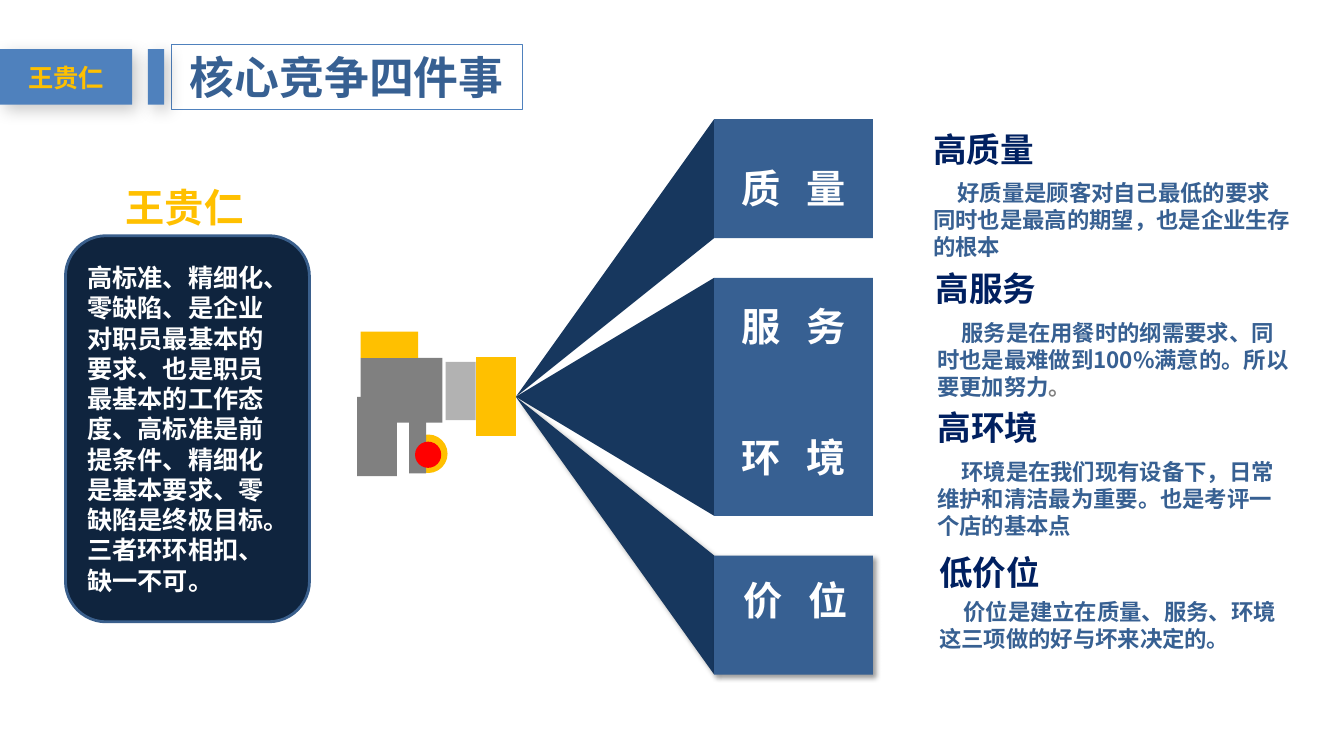
from math import cos, pi, sin

from lxml.etree import SubElement
from pptx import Presentation
from pptx.dml.color import RGBColor as RGB
from pptx.enum.shapes import MSO_SHAPE as SHAPE
from pptx.enum.text import MSO_ANCHOR as ANCHOR, PP_ALIGN as ALIGN
from pptx.oxml.ns import qn
from pptx.util import Cm, Pt

THEME = dict(
    wedge="17375E", block="376092", header="4F81BD", panel="0F243E", edge="3A5F8C",
    gold="FFC000", navy="002060", white="FFFFFF", grey="808080", silver="B2B2B2", red="FF0000",
    title=32, label=28, heading=24, note=18, body=16,
    sc="Noto Sans CJK SC", jp="Noto Sans CJK JP", lato="Lato",
)
SOFT = dict(alpha=40, blur=4, dist=3)
WIDE = dict(alpha=21, blur=12, dist=5)

NAME = "王贵仁"
TITLE = "核心竞争四件事"
PANEL = ("高标准、精细化、零缺陷、是企业对职员最基本的要求、也是职员最基本的工作态度、"
         "高标准是前提条件、精细化是基本要求、零缺陷是终极目标。三者环环相扣、缺一不可。")

FACTORS = [
    dict(label="服 务", label_at=(18.44, 7.49), block=(18.06, 6.65), shadow=None,
         wedge=[(18.11, 6.63), (18.06, 9.78), (12.95, 9.96)],
         heading="高服务", heading_at=(24.85, 6.63), body_at=(23.37, 7.92),
         body="服务是在用餐时的纲需要求、同时也是最难做到100%满意的。所以要更加努力", end="。"),
    dict(label="环 境", label_at=(18.44, 10.8), block=(18.11, 10.19), shadow=None,
         wedge=[(13, 10.03), (18.19, 10.21), (18.11, 13.28)],
         heading="高环境", heading_at=(24.9, 10.13), body_at=(23.37, 11.43),
         body="环境是在我们现有设备下，日常维护和清洁最为重要。也是考评一个店的基本点", end=""),
    dict(label="价 位", label_at=(18.49, 14.4), block=(18.11, 13.69), shadow=SOFT,
         wedge=[(18.08, 16.74), (18.08, 13.64), (12.98, 9.98)],
         heading="低价位", heading_at=(24.94, 13.79), body_at=(23.42, 14.96),
         body="价位是建立在质量、服务、环境这三项做的好与坏来决定的。", end=""),
    dict(label="质 量", label_at=(18.44, 4.01), block=(18.06, 3.18), shadow=None,
         wedge=[(18.08, 3.15), (18.08, 6.25), (12.9, 10.01)],
         heading="高质量", heading_at=(24.79, 3.12), body_at=(23.27, 4.39),
         body="好质量是顾客对自己最低的要求同时也是最高的期望，也是企业生存的根本", end=""),
]
BLOCK_W, BLOCK_H, BLOCK_R = 3.96, 3.12, 0.52
BODY_RIGHT, HEADING_W = 32.81, 4

CAMERA_BODY = [
    (SHAPE.RECTANGLE, (9.09, 9.02, 2.06, 1.63), "grey"),
    (SHAPE.RECTANGLE, (9.09, 8.36, 1.45, 0.66), "gold"),
    (SHAPE.RECTANGLE, (11.23, 9.12, 0.76, 1.47), "silver"),
]
LENS = [(12.62, 8.74), (12.62, 10.9), (12.07, 10.52), (12.07, 9.12)]
GRIP_HOLE = [(9.5, 10.69), (9.5, 11.71), (10.29, 11.71), (10.29, 10.69)]
GRIP_EDGE = [(9.32, 10.49), (10.44, 10.49), (10.44, 11.91), (9.32, 11.91)]
CAMERA_REEL = [
    (SHAPE.OVAL, (10.31, 10.95, 0.97, 0.97), "gold"),
    (SHAPE.RECTANGLE, (10.31, 10.46, 0.43, 1.47), "grey"),
    (SHAPE.OVAL, (10.46, 11.13, 0.66, 0.66), "red"),
]


def color(name):
    return RGB.from_string(THEME[name])


def paint(sp, fill=None, line=None, weight=1, shadow=None):
    sp.shadow.inherit = False
    if fill:
        sp.fill.solid()
        sp.fill.fore_color.rgb = color(fill)
    else:
        sp.fill.background()
    if line:
        sp.line.color.rgb = color(line)
        sp.line.width = Pt(weight)
    else:
        sp.line.fill.background()
    if shadow:
        effects = sp._element.spPr.find(qn("a:effectLst"))
        outer = SubElement(effects, qn("a:outerShdw"), blurRad=str(Pt(shadow["blur"])),
                           dist=str(Pt(shadow["dist"])), dir="2700000", algn="tl", rotWithShape="0")
        black = SubElement(outer, qn("a:srgbClr"), val="000000")
        SubElement(black, qn("a:alpha"), val=str(shadow["alpha"] * 1000))
    return sp


def add_shape(s, kind, box, **style):
    return paint(s.shapes.add_shape(kind, *map(Cm, box)), **style)


def add_outline(s, *contours, **style):
    first, *others = contours
    builder = s.shapes.build_freeform(*first[0], scale=float(Cm(1)))
    builder.add_line_segments(first[1:])
    for contour in others:
        builder.move_to(*contour[0])
        builder.add_line_segments(contour[1:])
    return paint(builder.convert_to_shape(), **style)


def block_points(x, y):
    cx = x + BLOCK_W - BLOCK_R
    corners = [(y + BLOCK_R, -pi / 2), (y + BLOCK_H - BLOCK_R, 0)]
    arcs = [(cx + BLOCK_R * cos(start + i * pi / 24), cy + BLOCK_R * sin(start + i * pi / 24))
            for cy, start in corners for i in range(13)]
    return [(x, y), *arcs, (x, y + BLOCK_H)]


def put_text(sp, text, size, fill, font="sc", align=ALIGN.LEFT, anchor=ANCHOR.TOP,
             indent=0, spacing=0, end=""):
    tf = sp.text_frame
    tf.word_wrap = True
    tf.vertical_anchor = anchor
    p = tf.paragraphs[0]
    p.alignment = align
    if indent:
        p._p.get_or_add_pPr().set("indent", str(Cm(indent)))
    for part, shade in ((text, fill), (end, "grey")):
        if not part:
            continue
        r = p.add_run()
        r.text = part
        r.font.size = Pt(THEME[size])
        r.font.bold = True
        r.font.color.rgb = color(shade)
        r.font.name = THEME[font]
        rPr = r.font._element
        SubElement(rPr, qn("a:ea"), typeface=THEME[font])
        if spacing:
            rPr.set("spc", str(spacing))


def add_text(s, box, text, **style):
    put_text(s.shapes.add_textbox(*map(Cm, box)), text, **style)


def main():
    prs = Presentation()
    prs.slide_width, prs.slide_height = Cm(33.87), Cm(19.05)
    s = prs.slides.add_slide(prs.slide_layouts[6])

    for f in FACTORS:
        add_outline(s, f["wedge"], fill="wedge", shadow=f["shadow"])
        add_outline(s, block_points(*f["block"]), fill="block", shadow=f["shadow"])

    for kind, box, fill in CAMERA_BODY:
        add_shape(s, kind, box, fill=fill)
    add_outline(s, LENS, fill="gold")
    add_outline(s, GRIP_HOLE, GRIP_EDGE, fill="grey")
    for kind, box, fill in CAMERA_REEL:
        add_shape(s, kind, box, fill=fill)

    title = add_shape(s, SHAPE.RECTANGLE, (4.32, 1.12, 8.84, 1.63), line="header", weight=0.75)
    put_text(title, TITLE, size="title", fill="block", align=ALIGN.CENTER)

    for f in FACTORS:
        center, top = f["heading_at"]
        add_text(s, (center - HEADING_W / 2, top, HEADING_W, 1.27), f["heading"],
                 size="heading", fill="navy", align=ALIGN.CENTER)
        left, top = f["body_at"]
        add_text(s, (left, top, BODY_RIGHT - left, 2.31), f["body"], size="body",
                 fill="block", font="jp", indent=0.61, end=f["end"])
        add_text(s, (*f["label_at"], 3.6, 1.45), f["label"], size="label",
                 fill="white", spacing=625)

    add_text(s, (2.11, 4.5, 5.08, 1.45), NAME, size="label", fill="gold", align=ALIGN.CENTER)
    tag = add_shape(s, SHAPE.RECTANGLE, (0, 1.24, 3.33, 1.4), fill="header", shadow=WIDE)
    put_text(tag, NAME, size="note", fill="gold", font="lato",
             align=ALIGN.CENTER, anchor=ANCHOR.MIDDLE)
    add_shape(s, SHAPE.RECTANGLE, (3.73, 1.24, 0.41, 1.4), fill="header", shadow=WIDE)
    panel = add_shape(s, SHAPE.ROUNDED_RECTANGLE, (1.65, 5.94, 6.15, 9.73),
                      fill="panel", line="edge", weight=2)
    put_text(panel, PANEL, size="note", fill="white", font="jp", anchor=ANCHOR.MIDDLE)

    prs.save("out.pptx")


if __name__ == "__main__":
    main()
